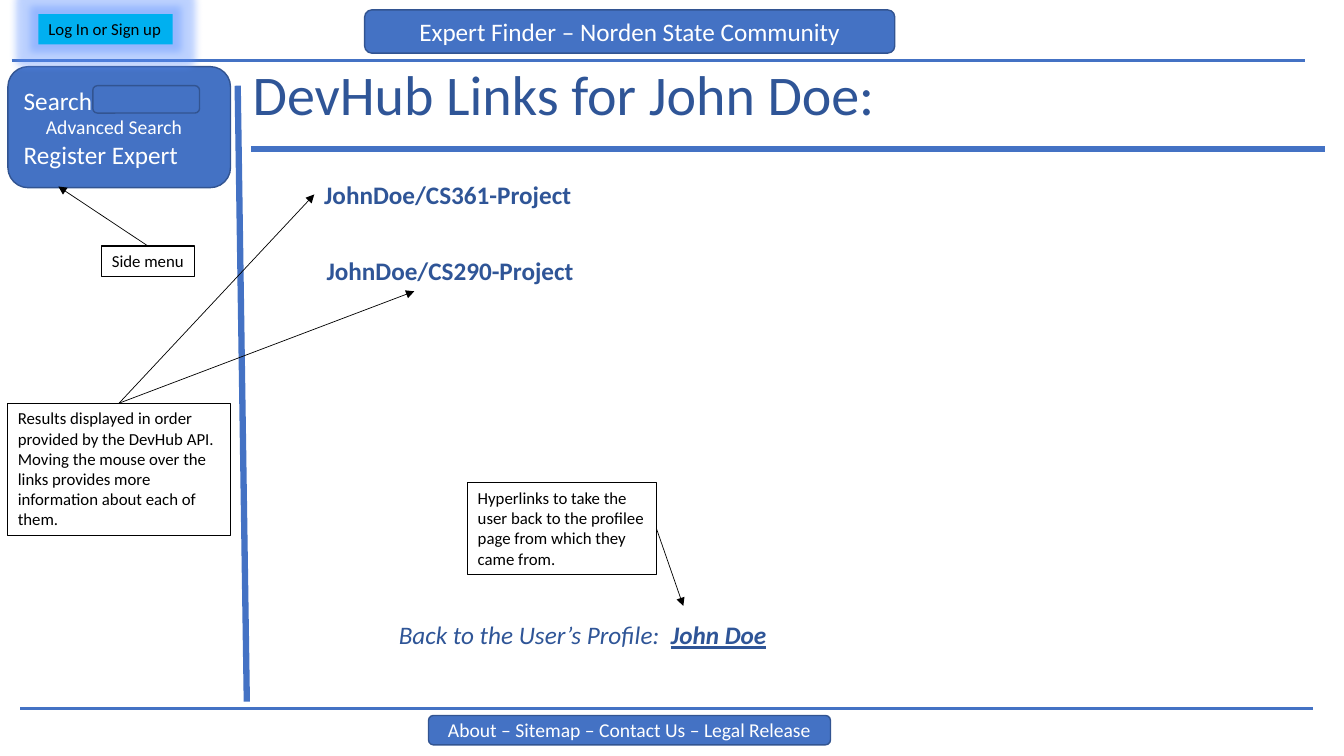
from lxml import etree
from pptx import Presentation
from pptx.dml.color import RGBColor
from pptx.enum.shapes import MSO_CONNECTOR, MSO_SHAPE
from pptx.enum.text import MSO_ANCHOR, PP_ALIGN
from pptx.oxml.ns import qn
from pptx.util import Cm, Pt

RECTANGLE = MSO_SHAPE.RECTANGLE
ROUNDED = MSO_SHAPE.ROUNDED_RECTANGLE
STRAIGHT = MSO_CONNECTOR.STRAIGHT
TOP = MSO_ANCHOR.TOP
MIDDLE = MSO_ANCHOR.MIDDLE
LEFT = PP_ALIGN.LEFT
CENTER = PP_ALIGN.CENTER

FONT = "Calibri"
COLORS = {
    "blue": "4472C4",
    "border": "325491",
    "heading": "2F5597",
    "login": "00B0F0",
    "glow": "5B8FFF",
    "black": "000000",
    "white": "FFFFFF",
}


def color(name):
    return RGBColor.from_string(COLORS[name])


def style_font(font, size, color_name, bold=False, italic=False):
    font.name = FONT
    font.size = Pt(size)
    font.color.rgb = color(color_name)
    font.bold = bold
    font.italic = italic


def write_line(paragraph, text, size, color_name, align=LEFT, bold=False):
    paragraph.text = text
    paragraph.alignment = align
    style_font(paragraph.font, size, color_name, bold)


def add_box(slide, kind, box, fill=None, line=None, width=1):
    shape = slide.shapes.add_shape(kind, *map(Cm, box))
    shape.shadow.inherit = False
    if fill:
        shape.fill.solid()
        shape.fill.fore_color.rgb = color(fill)
    else:
        shape.fill.background()
    if line:
        shape.line.color.rgb = color(line)
        shape.line.width = Pt(width)
    else:
        shape.line.fill.background()
    return shape


def add_panel(slide, box):
    shape = add_box(slide, ROUNDED, box, "blue", "border")
    shape.text_frame.word_wrap = True
    shape.text_frame.vertical_anchor = MIDDLE
    return shape


def add_bar(slide, box, text, size):
    frame = add_panel(slide, box).text_frame
    write_line(frame.paragraphs[0], text, size, "white", CENTER)


def add_label(slide, box, text, fill=None, line="black", wrap=True):
    shape = add_box(slide, RECTANGLE, box, fill, line, 0.75)
    frame = shape.text_frame
    frame.word_wrap = wrap
    frame.vertical_anchor = TOP
    write_line(frame.paragraphs[0], text, 12, "black")
    return shape


def add_text(slide, box, text, size, bold=False, wrap=True):
    frame = slide.shapes.add_textbox(*map(Cm, box)).text_frame
    frame.word_wrap = wrap
    write_line(frame.paragraphs[0], text, size, "heading", bold=bold)


def add_line(slide, start, end, color_name="blue", width=2.25):
    line = slide.shapes.add_connector(STRAIGHT, *map(Cm, start + end))
    line.line.color.rgb = color(color_name)
    line.line.width = Pt(width)
    etree.SubElement(line._element.spPr, qn("a:effectLst"))
    return line


def add_arrow(slide, start, end):
    arrow = add_line(slide, start, end, "black", 0.5)
    etree.SubElement(arrow.line._get_or_add_ln(), qn("a:tailEnd"), type="triangle")


def add_glow(shape, radius):
    effects = shape._element.spPr.find(qn("a:effectLst"))
    glow = etree.SubElement(effects, qn("a:glow"), rad=str(int(radius)))
    tint = etree.SubElement(glow, qn("a:srgbClr"), val=COLORS["glow"])
    etree.SubElement(tint, qn("a:alpha"), val="40000")


def add_side_menu(slide):
    frame = add_panel(slide, (0.2, 1.68, 5.61, 3.05)).text_frame
    search = frame.paragraphs[0]
    write_line(search, "Search", 18, "white")
    advanced = frame.add_paragraph()
    write_line(advanced, "Advanced Search", 14, "white")
    advanced._p.get_or_add_pPr().set("marL", str(int(Cm(0.56))))
    write_line(frame.add_paragraph(), "Register Expert", 18, "white")
    add_panel(slide, (2.34, 2.16, 2.69, 0.69))


def add_profile_link(slide):
    frame = slide.shapes.add_textbox(Cm(9.8), Cm(15.49), Cm(18.9), Cm(1.02)).text_frame
    frame.word_wrap = True
    paragraph = frame.paragraphs[0]
    style_font(paragraph.font, 18, "heading", italic=True)
    for text, is_link in (("Back to the User’s Profile:  ", False), ("John Doe", True)):
        run = paragraph.add_run()
        run.text = text
        style_font(run.font, 18, "heading", bold=is_link, italic=True)
        run.font.underline = is_link


def main():
    presentation = Presentation()
    presentation.slide_width = Cm(33.87)
    presentation.slide_height = Cm(19.05)
    slide = presentation.slides.add_slide(presentation.slide_layouts[6])

    add_side_menu(slide)
    add_line(slide, (0.3, 1.52), (32.89, 1.52))
    add_bar(slide, (9.19, 0.25, 13.36, 1.09), "Expert Finder – Norden State Community", 18)
    add_line(slide, (0.51, 17.86), (33.1, 17.86))
    add_bar(slide, (10.8, 18.03, 10.13, 0.74),
            "About – Sitemap – Contact Us – Legal Release", 14)

    add_text(slide, (6.12, 1.37, 17.91, 1.96), "DevHub Links for John Doe:", 40)
    login = add_label(slide, (0.97, 0.36, 3.38, 0.76), "Log In or Sign up",
                      "login", None, wrap=False)
    add_glow(login, Cm(0.39))
    add_label(slide, (2.57, 6.2, 2.34, 0.76), "Side menu")
    add_arrow(slide, (3.73, 6.2), (1.47, 4.7))
    add_line(slide, (6.32, 3.76), (33.4, 3.76), width=4.5)
    add_line(slide, (5.99, 2.16), (6.22, 17.68), width=4.5)

    add_profile_link(slide)
    add_label(slide, (11.79, 12.17, 4.75, 2.31),
              "Hyperlinks to take the user back to the profilee page "
              "from which they came from.")
    add_arrow(slide, (16.54, 13.31), (17.22, 15.27))

    for left, top, name in ((7.92, 4.39, "CS361"), (7.98, 6.3, "CS290")):
        add_text(slide, (left, top, 6.78, 1.02), f"JohnDoe/{name}-Project", 18,
                 bold=True, wrap=False)
    add_label(slide, (0.2, 10.16, 5.61, 3.33),
              "Results displayed in order provided by the DevHub API. Moving the "
              "mouse over the links provides more information about each of them.")
    for target in ((7.92, 4.9), (10.44, 7.34)):
        add_arrow(slide, (3.0, 10.16), target)

    presentation.save("out.pptx")


main()
